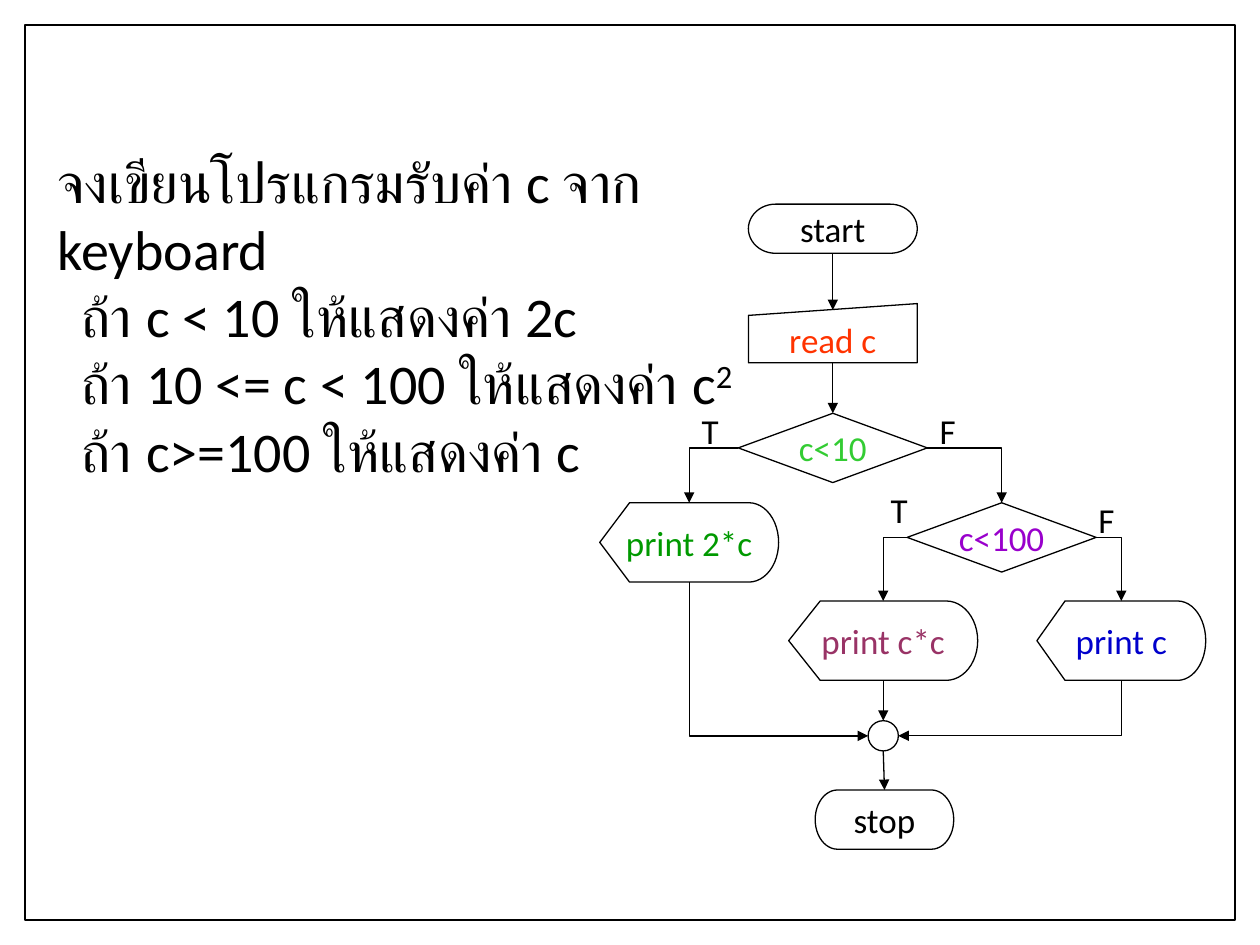
from lxml import etree
from pptx import Presentation
from pptx.dml.color import RGBColor
from pptx.enum.shapes import MSO_CONNECTOR, MSO_SHAPE
from pptx.enum.text import MSO_ANCHOR, MSO_AUTO_SIZE, PP_ALIGN
from pptx.oxml.ns import qn
from pptx.util import Inches, Pt

FRAME = MSO_SHAPE.RECTANGLE
TERM = MSO_SHAPE.FLOWCHART_TERMINATOR
INPUT = MSO_SHAPE.FLOWCHART_MANUAL_INPUT
TEST = MSO_SHAPE.FLOWCHART_DECISION
SHOW = MSO_SHAPE.FLOWCHART_DISPLAY
JOIN = MSO_SHAPE.FLOWCHART_CONNECTOR
LINE, ELBOW = MSO_CONNECTOR.STRAIGHT, MSO_CONNECTOR.ELBOW
MIDDLE, CENTER = MSO_ANCHOR.MIDDLE, PP_ALIGN.CENTER
GROW = MSO_AUTO_SIZE.SHAPE_TO_FIT_TEXT
TOP, LEFT, BOTTOM, RIGHT = range(4)

COLORS = {
    "black": "000000", "white": "FFFFFF", "red": "FF3300",
    "lime": "33CC33", "green": "009900", "plum": "993366",
    "violet": "9900CC", "blue": "0000CC",
}
LABEL = {"name": "Calibri", "size": Pt(20)}
BODY = {"name": "Calibri", "size": Pt(32)}

# Flowchart steps: kind, left, top, width, height, text, text colour
STEPS = {
    "start": (TERM, 5.94, 1.62, 1.34, 0.39, "start", "black"),
    "stop": (TERM, 6.47, 6.27, 1.1, 0.47, "stop", "black"),
    "read": (INPUT, 5.94, 2.41, 1.34, 0.47, "read c", "red"),
    "ten": (TEST, 5.86, 3.28, 1.5, 0.55, "c<10", "lime"),
    "join": (JOIN, 6.89, 5.72, 0.24, 0.24, "", "black"),
    "double": (SHOW, 4.76, 3.99, 1.42, 0.63, "print 2*c", "green"),
    "square": (SHOW, 6.26, 4.77, 1.5, 0.63, "print c*c", "plum"),
    "hundred": (TEST, 7.2, 3.99, 1.5, 0.55, "c<100", "violet"),
    "plain": (SHOW, 8.23, 4.77, 1.34, 0.63, "print c", "blue"),
}
# Elbows that leave a test sideways, and those that drop to the join
SIDE = [("ten", RIGHT, "hundred"), ("ten", LEFT, "double"),
        ("hundred", LEFT, "square"), ("hundred", RIGHT, "plain")]
DROP = [("double", LEFT), ("plain", RIGHT)]
BRANCHES = [("T", 5.47, 3.2), ("F", 7.36, 3.2),
            ("T", 6.97, 3.83), ("F", 8.62, 3.91)]
TASK = "จงเขียนโปรแกรมรับค่า c จาก keyboard"
RULES = [("ถ้า c < 10 ให้แสดงค่า 2c", ""),
         ("ถ้า 10 <= c < 100 ให้แสดงค่า c", "2"),
         ("ถ้า c>=100 ให้แสดงค่า c", "")]


def paint(name):
    return RGBColor.from_string(COLORS[name])


def add_run(para, text, style, color="black"):
    run = para.add_run()
    run.text = text
    for key, value in style.items():
        setattr(run.font, key, value)
    run.font.color.rgb = paint(color)
    return run


def add_box(slide, kind, x, y, w, h, text="", color="black", weight=0.75):
    box = slide.shapes.add_shape(kind, *map(Inches, (x, y, w, h)))
    box.shadow.inherit = False
    box.fill.solid()
    box.fill.fore_color.rgb = paint("white")
    box.line.color.rgb = paint("black")
    box.line.width = Pt(weight)
    if text:
        frame = box.text_frame
        frame.word_wrap = False
        frame.vertical_anchor = MIDDLE
        para = frame.paragraphs[0]
        para.alignment = CENTER
        add_run(para, text, LABEL, color)
    return box


def add_text(slide, x, y, w, h, wrap):
    box = slide.shapes.add_textbox(*map(Inches, (x, y, w, h)))
    frame = box.text_frame
    frame.word_wrap = wrap
    frame.auto_size = GROW
    return frame


def port(box, side):
    """Middle of one side of a shape."""
    mid_x, mid_y = box.left + box.width // 2, box.top + box.height // 2
    return {TOP: (mid_x, box.top), LEFT: (box.left, mid_y),
            BOTTOM: (mid_x, box.top + box.height),
            RIGHT: (box.left + box.width, mid_y)}[side]


def add_arrow(slide, kind, start, end):
    arrow = slide.shapes.add_connector(kind, *start, *end)
    arrow.line.color.rgb = paint("black")
    arrow.line.width = Pt(0.75)
    tip = etree.SubElement(arrow.line._get_or_add_ln(), qn("a:tailEnd"))
    tip.set("type", "triangle")
    props = arrow._element.spPr
    etree.SubElement(props, qn("a:effectLst"))
    if kind == ELBOW:
        props.find(qn("a:prstGeom")).set("prst", "bentConnector2")
    return arrow


def add_drop(slide, start, end):
    """Elbow that runs down first: a sideways elbow turned by 90 degrees."""
    (x1, y1), (x2, y2) = start, end
    mid_x, mid_y = (x1 + x2) // 2, (y1 + y2) // 2
    dx, dy = (x2 - x1) // 2, (y2 - y1) // 2
    arrow = add_arrow(slide, ELBOW, (mid_x - dy, mid_y + dx),
                      (mid_x + dy, mid_y - dx))
    arrow._element.spPr.find(qn("a:xfrm")).set("rot", "5400000")


def add_links(slide, steps):
    # Straight arrows
    for first, last in [("start", "read"), ("read", "ten"),
                        ("square", "join"), ("join", "stop")]:
        begin, end = port(steps[first], BOTTOM), port(steps[last], TOP)
        if last == "read":  # the slanted top is lower at its middle
            end = end[0], end[1] + Inches(0.05)
        arrow = add_arrow(slide, LINE, begin, end)
        if first != "join":
            arrow.begin_connect(steps[first], BOTTOM)
        if last != "read":
            arrow.end_connect(steps[last], TOP)
    # Elbow arrows
    for first, side, last in SIDE:
        add_arrow(slide, ELBOW, port(steps[first], side),
                  port(steps[last], TOP))
    for first, side in DROP:
        add_drop(slide, port(steps[first], BOTTOM), port(steps["join"], side))


def add_task(slide):
    frame = add_text(slide, 0.36, 1.12, 5.74, 2.26, True)
    add_run(frame.paragraphs[0], TASK, BODY)
    for text, power in RULES:
        para = frame.add_paragraph()
        para.level = 1
        props = para._p.get_or_add_pPr()
        props.set("marL", str(Inches(0.81)))
        props.set("indent", str(Inches(-0.62)))
        add_run(para, text, BODY)
        if power:
            run = add_run(para, power, BODY)
            run.font._element.set("baseline", "30000")


def main():
    deck = Presentation()
    deck.slide_width, deck.slide_height = Inches(10), Inches(7.5)
    slide = deck.slides.add_slide(deck.slide_layouts[6])

    # Page frame
    add_box(slide, FRAME, 0.2, 0.2, 9.6, 7.1, weight=1)

    # Flowchart
    steps = {name: add_box(slide, *step) for name, step in STEPS.items()}
    add_links(slide, steps)
    for text, x, y in BRANCHES:
        frame = add_text(slide, x, y, 0.37, 0.43, False)
        add_run(frame.paragraphs[0], text, LABEL)

    # Exercise text
    add_task(slide)
    deck.save("out.pptx")


if __name__ == "__main__":
    main()
